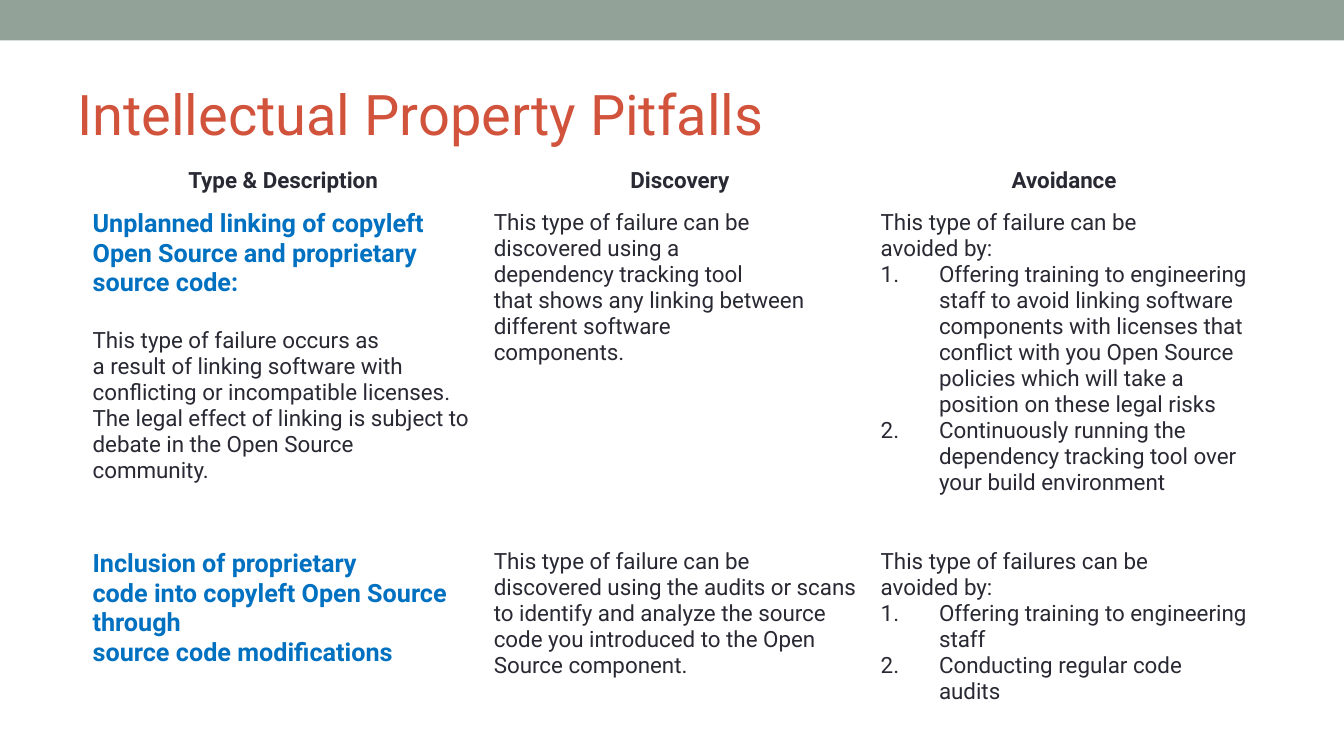
"""Build the slide on intellectual property pitfalls."""
from lxml import etree
from pptx import Presentation
from pptx import util as u
from pptx.dml import color
from pptx.enum import shapes, text
from pptx.oxml import ns

HUES = {"bar": "93A299", "title": "D2533C", "body": "292934",
        "topic": "0070C0", "cell": "FFFFFF"}
FONT = "Roboto"
FORMS = {
    "title": {"size": u.Pt(40), "bold": False},
    "head": {"size": u.Pt(16), "bold": True},
    "topic": {"size": u.Pt(18), "bold": True},
    "body": {"size": u.Pt(16), "bold": False},
}
TINTS = {"title": "title", "head": "body", "topic": "topic", "body": "body"}
PARAS = {
    "head": {"alignment": text.PP_ALIGN.CENTER},
    "after": {"space_before": u.Pt(21)},
}
WIDTHS = [10.11, 9.75, 9.75]
HEIGHTS = [1.04, 8.56, 4.78]
INDENT = u.Cm(1.47)

ROWS = [
    [[("head", "Type & Description")], [("head", " Discovery")],
     [("head", "Avoidance")]],
    [
        [("topic", "Unplanned linking of copyleft Open Source and "
                   "proprietary source code:"),
         ("after", "This type of failure occurs as"),
         ("body", "a result of linking software with conflicting or "
                  "incompatible licenses. The legal effect of linking is "
                  "subject to debate in the Open Source community.")],
        [("body", "This type of failure can be"),
         ("body", "discovered using a"),
         ("body", "dependency tracking tool"),
         ("body", "that shows any linking between"),
         ("body", "different software"),
         ("body", "components.")],
        [("body", "This type of failure can be"),
         ("body", "avoided by:"),
         ("item", "Offering training to engineering staff to avoid linking "
                  "software components with licenses that conflict with you "
                  "Open Source policies which will take a position on these "
                  "legal risks"),
         ("item", "Continuously running the dependency tracking tool over "
                  "your build environment")],
    ],
    [
        [("topic", "Inclusion of proprietary"),
         ("topic", "code into copyleft Open Source through"),
         ("topic", "source code modifications")],
        [("body", "This type of failure can be"),
         ("body", "discovered using the audits or scans to identify and "
                  "analyze the source code you introduced to the Open Source "
                  "component.")],
        [("body", "This type of failures can be"),
         ("body", "avoided by:"),
         ("item", "Offering training to engineering staff"),
         ("item", "Conducting regular code audits")],
    ],
]


def paint(fill, hue):
    """Give a fill one solid colour."""
    fill.solid()
    fill.fore_color.rgb = color.RGBColor.from_string(HUES[hue])


def assign(obj, form):
    """Set attributes from a dict of format values."""
    for name, value in form.items():
        setattr(obj, name, value)


def number(para):
    """Turn a paragraph into a numbered item with a hanging indent."""
    props = para._p.get_or_add_pPr()
    props.set("marL", str(INDENT))
    props.set("indent", str(-INDENT))
    mark = etree.SubElement(props, ns.qn("a:buAutoNum"))
    mark.set("type", "arabicPeriod")


def write(frame, lines):
    """Fill a text frame with styled paragraphs."""
    for i, (kind, words) in enumerate(lines):
        para = frame.add_paragraph() if i else frame.paragraphs[0]
        assign(para, PARAS.get(kind, {}))
        if kind == "item":
            number(para)
        run = para.add_run()
        run.text = words
        look = kind if kind in FORMS else "body"
        assign(run.font, {"name": FONT, **FORMS[look]})
        paint(run.font.fill, TINTS[look])


def add_bar(slide):
    """Draw the band along the top edge."""
    bar = slide.shapes.add_shape(shapes.MSO_SHAPE.RECTANGLE, 0, 0,
                                 u.Cm(33.87), u.Cm(1.02))
    bar.shadow.inherit = False
    bar.line.fill.background()
    paint(bar.fill, "bar")


def add_title(slide, words):
    """Place the slide title."""
    box = slide.shapes.add_textbox(u.Cm(1.7), u.Cm(1.47),
                                   u.Cm(30.48), u.Cm(2.74))
    assign(box.text_frame, {"word_wrap": True,
                            "vertical_anchor": text.MSO_ANCHOR.MIDDLE})
    write(box.text_frame, [("title", words)])


def add_grid(slide):
    """Place the table of pitfalls."""
    grid = slide.shapes.add_table(
        len(ROWS), len(WIDTHS), u.Cm(2.08), u.Cm(4.11),
        u.Cm(sum(WIDTHS)), u.Cm(sum(HEIGHTS))).table
    assign(grid, {"first_row": False, "horz_banding": False})
    for col, width in zip(grid.columns, WIDTHS):
        col.width = u.Cm(width)
    for row, height, cells in zip(grid.rows, HEIGHTS, ROWS):
        row.height = u.Cm(height)
        for cell, lines in zip(row.cells, cells):
            paint(cell.fill, "cell")
            write(cell.text_frame, lines)


def main():
    """Build and save the deck."""
    deck = Presentation()
    assign(deck, {"slide_width": u.Cm(33.87), "slide_height": u.Cm(19.05)})
    slide = deck.slides.add_slide(deck.slide_layouts[6])
    add_bar(slide)
    add_title(slide, "Intellectual Property Pitfalls")
    add_grid(slide)
    deck.save("out.pptx")


if __name__ == "__main__":
    main()
